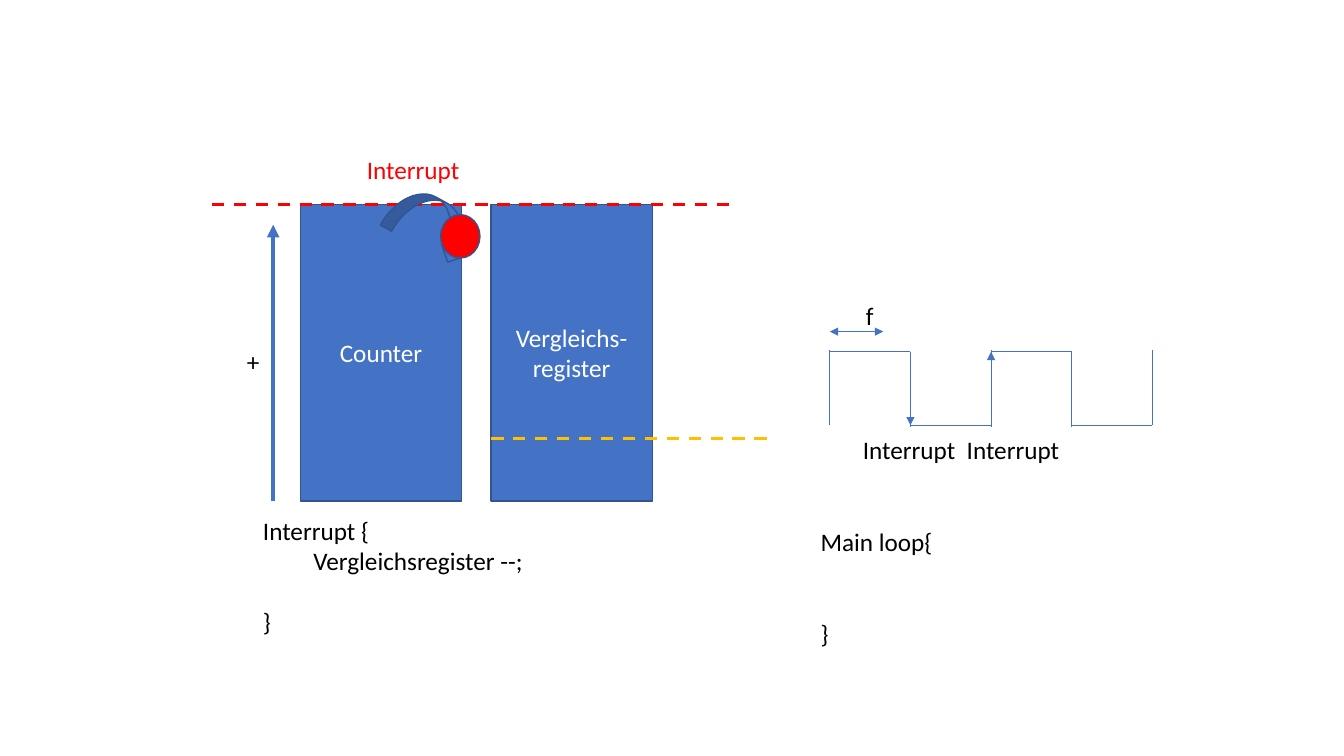
from lxml import etree
from pptx import Presentation
from pptx.dml.color import RGBColor
from pptx.enum.dml import MSO_LINE
from pptx.enum.shapes import MSO_CONNECTOR, MSO_SHAPE
from pptx.enum.text import MSO_ANCHOR, PP_ALIGN
from pptx.oxml.ns import qn
from pptx.util import Inches, Pt

COLORS = {"blue": "4472C4", "outline": "325491", "red": "FF0000",
          "amber": "FFC000", "black": "000000", "white": "FFFFFF"}
FONT = "Calibri"
TEXT_SIZE = 18
LINE_HEIGHT = 22
STRAIGHT = MSO_CONNECTOR.STRAIGHT
DASH = MSO_LINE.DASH
RECTANGLE = MSO_SHAPE.RECTANGLE
ELLIPSE = MSO_SHAPE.OVAL
CURVED_ARROW = MSO_SHAPE.CURVED_UP_ARROW
MIDDLE = MSO_ANCHOR.MIDDLE
CENTER = PP_ALIGN.CENTER


def rgb(name):
    return RGBColor.from_string(COLORS[name])


def style_text(paragraph, color):
    paragraph.font.name = FONT
    paragraph.font.size = Pt(TEXT_SIZE)
    paragraph.font.color.rgb = rgb(color)


def add_line(slide, start, end, color="blue", width=0.5, dash=None, ends=()):
    line = slide.shapes.add_connector(
        STRAIGHT, *(Inches(value) for value in (*start, *end)))
    line.line.color.rgb = rgb(color)
    line.line.width = Pt(width)
    if dash:
        line.line.dash_style = dash
    properties = line._element.spPr
    outline = properties.find(qn("a:ln"))
    for end_name in ends:
        etree.SubElement(outline, qn("a:" + end_name), type="triangle")
    etree.SubElement(properties, qn("a:effectLst"))


def add_block(slide, kind, left, top, width, height, fill="blue", text=None):
    shape = slide.shapes.add_shape(
        kind, Inches(left), Inches(top), Inches(width), Inches(height))
    shape.shadow.inherit = False
    shape.fill.solid()
    shape.fill.fore_color.rgb = rgb(fill)
    shape.line.color.rgb = rgb("outline")
    shape.line.width = Pt(1)
    if text:
        shape.text_frame.vertical_anchor = MIDDLE
        paragraph = shape.text_frame.paragraphs[0]
        paragraph.text = text
        paragraph.alignment = CENTER
        style_text(paragraph, "white")
    return shape


def add_text(slide, lines, left, top, width, height=0.4, color="black", gap_lines=0):
    """Place lines of text; gap_lines is the room left above the last one."""
    box = slide.shapes.add_textbox(
        Inches(left), Inches(top), Inches(width), Inches(height))
    frame = box.text_frame
    frame.word_wrap = False
    frame.text = "\n".join(lines)
    for paragraph in frame.paragraphs:
        style_text(paragraph, color)
    if gap_lines:
        frame.paragraphs[-1].space_before = Pt(gap_lines * LINE_HEIGHT)


def draw_registers(slide, left, top):
    """Counter and compare register with their limits."""
    width, height, pitch = 1.6, 2.94, 1.89
    bottom = top + height
    compare_left = left + pitch

    # Counter with its counting direction
    add_block(slide, RECTANGLE, left, top, width, height, text="Counter")
    add_line(slide, (left - 0.27, bottom), (left - 0.27, top + 0.2),
             width=3, ends=["tailEnd"])
    add_text(slide, ["+"], left - 0.63, top + 1.36, 0.33)

    # Compare register and overflow limit
    add_block(slide, RECTANGLE, compare_left, top, width, height,
              text="Vergleichs-register")
    add_line(slide, (left - 0.88, top), (left + 4.26, top), "red", 2.25, DASH)

    # Overflow arrow, interrupt mark and compare level
    arrow = add_block(slide, CURVED_ARROW, left + 0.86, top - 0.06, 0.89, 0.51)
    arrow.rotation = 28.9
    arrow._element.spPr.find(qn("a:xfrm")).set("flipV", "1")
    add_text(slide, ["Interrupt"], left + 0.56, top - 0.55, 1.13, color="red")
    add_block(slide, ELLIPSE, left + 1.39, top + 0.1, 0.39, 0.43, "red")
    add_line(slide, (compare_left, top + 2.32), (compare_left + 2.82, top + 2.32),
             "amber", 2.25, DASH)


def draw_waveform(slide, left, top):
    """Square wave with interrupts on its inner edges."""
    half_period, height, overshoot = 0.8, 0.73, 0.02
    bottom = top + height
    edges = [left + half_period * index for index in range(5)]

    # Edges and levels
    for index, x in enumerate(edges):
        shift = 0 if index % 2 else -overshoot
        add_line(slide, (x, top + shift), (x, top + shift + 0.75))
    for index, (start, end) in enumerate(zip(edges, edges[1:])):
        level = bottom if index % 2 else top
        add_line(slide, (start, level), (end, level))

    # Interrupt edges
    add_line(slide, (edges[1], top), (edges[1], bottom), ends=["tailEnd"])
    add_line(slide, (edges[2], bottom + overshoot), (edges[2], top), ends=["tailEnd"])
    for offset in (0.23, 1.26):
        add_text(slide, ["Interrupt"], left + offset, top + 0.77, 1.13)

    # Frequency span
    add_line(slide, (left, top - 0.2), (left + 0.53, top - 0.2),
             ends=["headEnd", "tailEnd"])
    add_text(slide, ["f"], left + 0.26, top - 0.56, 0.28)


def draw_code(slide):
    """Main loop and interrupt routine."""
    add_text(slide, ["Main loop{", "}"], 8.04, 5.17, 1.32, 1.31, gap_lines=2)
    add_text(slide, ["Interrupt {", "\tVergleichsregister --;", "}"],
             2.51, 5.06, 3.31, 1.92, gap_lines=1)


def main():
    presentation = Presentation()
    presentation.slide_width = Inches(13.33)
    presentation.slide_height = Inches(7.5)
    slide = presentation.slides.add_slide(presentation.slide_layouts[6])
    draw_registers(slide, 2.98, 2.03)
    draw_waveform(slide, 8.23, 3.49)
    draw_code(slide)
    presentation.save("out.pptx")


if __name__ == "__main__":
    main()
